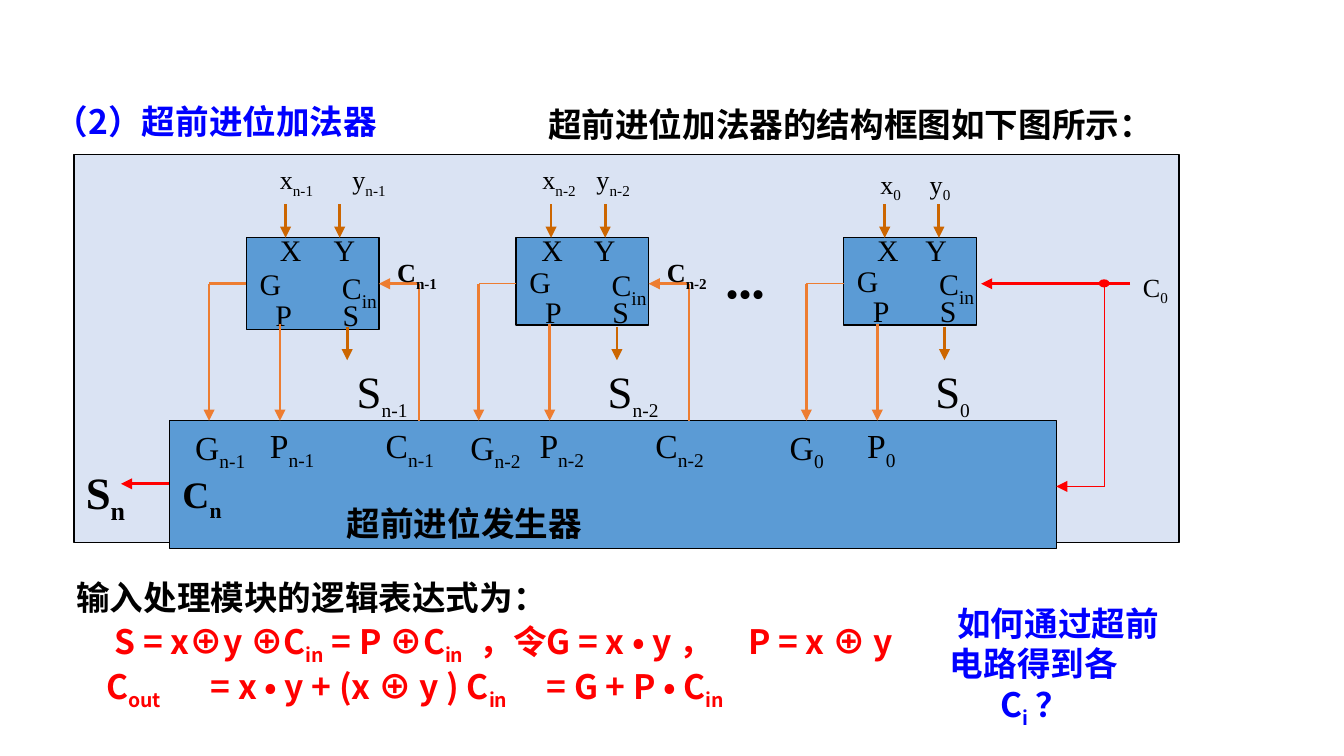
from lxml.etree import SubElement
from pptx import Presentation
from pptx.dml.color import RGBColor
from pptx.enum.shapes import MSO_CONNECTOR as CONN, MSO_SHAPE as SHAPE
from pptx.enum.text import MSO_ANCHOR as ANCHOR, PP_ALIGN as ALIGN
from pptx.oxml.ns import qn
from pptx.util import Pt

COLORS = {"panel": "DAE3F3", "block": "5B9BD5", "black": "000000", "blue": "0000FF",
          "red": "FF0000", "brown": "CC6600", "orange": "ED7D31"}
SERIF, CJK = "Times New Roman", "Noto Sans CJK JP"

# Content: text between bars is subscript
TITLE = "（2）超前进位加法器"
INTRO = "超前进位加法器的结构框图如下图所示："
GENERATOR = "超前进位发生器"
FORMULA_HEAD = "输入处理模块的逻辑表达式为："
FORMULAS = [  # text, first-line indent, tab stops
    ("S\t= x⊕y ⊕C|in| = P ⊕C|in|\t，令G = x • y ，\tP = x ⊕ y", 20.5, (43, 223, 365)),
    ("C|out|\t= x • y + (x ⊕ y ) C|in|\t= G + P • C|in|", 16, (54, 225)),
]
QUESTION = ["如何通过超前", "电路得到各C|i| ？"]

# Adder stages; "x_in" to "s_out" are offsets from the left edge of the block
STAGES = [
    dict(i="n-1", left=132, h=49, dy=1.5, in_top=84.2, x_in=10.8, y_in=49.7, x=10.8, y=39.6,
         arrow=21, s_out=52, g_width=44, g_line=1.5, carry_line=1.5),
    dict(i="n-2", left=276.5, h=46.8, dy=0, in_top=84.2, x_in=7, y_in=36, x=6.5, y=34.6,
         arrow=18.7, s_out=42, g_width=50, g_line=0.75, carry_line=1),
    dict(i="0", left=452, h=46.8, dy=-0.5, in_top=86.4, x_in=12.5, y_in=39, x=10.8, y=36.7,
         arrow=22, s_out=42, g_width=41, g_line=0.75, carry_line=None),
]
STAGE_TOP, STAGE_W, BUS_Y, GEN_TOP = 127.4, 71, 152, 225.4

prs = Presentation()
prs.slide_width, prs.slide_height = Pt(720), Pt(405)
s = prs.slides.add_slide(prs.slide_layouts[6])


def rgb(name):
    return RGBColor.from_string(COLORS[name])


def add_text(text, x=0, y=0, w=52, h=27, tf=None, size=14, sub_size=None, font=SERIF,
             color="black", bold=False, align=ALIGN.LEFT, anchor=ANCHOR.TOP,
             spacing=None, before=0, margin=0, indent=0, tabs=()):
    """Write a paragraph into a new box, or append it to the text frame tf."""
    if tf is None:
        tf = s.shapes.add_textbox(Pt(x), Pt(y), Pt(w), Pt(h)).text_frame
        tf.word_wrap, tf.vertical_anchor = True, anchor
        p = tf.paragraphs[0]
    else:
        p = tf.add_paragraph()
    p.alignment, p.line_spacing, p.space_before = align, spacing, Pt(before)
    pPr = p._p.get_or_add_pPr()
    pPr.set("marL", str(Pt(margin)))
    pPr.set("indent", str(Pt(indent)))
    if tabs:
        stops = SubElement(pPr, qn("a:tabLst"))
        for pos in tabs:
            SubElement(stops, qn("a:tab"), pos=str(Pt(pos)), algn="l")
    for n, part in enumerate(text.split("|")):
        if not part:
            continue
        r = p.add_run()
        r.text = part
        is_sub = n % 2 == 1
        r.font.size = Pt(sub_size if is_sub and sub_size else size)
        r.font.name, r.font.bold = font, bold
        r.font.color.rgb = rgb(color)
        rPr = r._r.get_or_add_rPr()
        SubElement(rPr, qn("a:ea"), typeface=font)
        if is_sub:
            rPr.set("baseline", "-25000")
    return tf


def add_block(x, y, w, h, fill="block", line="black", kind=SHAPE.RECTANGLE):
    sp = s.shapes.add_shape(kind, Pt(x), Pt(y), Pt(w), Pt(h))
    sp.shadow.inherit = False
    sp.fill.solid()
    sp.fill.fore_color.rgb = rgb(fill)
    sp.line.color.rgb = rgb(line)
    sp.line.width = Pt(0.75)


def add_line(x1, y1, x2, y2, color="orange", width=1.5, arrow=True):
    c = s.shapes.add_connector(CONN.STRAIGHT, Pt(x1), Pt(y1), Pt(x2), Pt(y2))
    c.line.color.rgb = rgb(color)
    c.line.width = Pt(width)
    if arrow:
        SubElement(c.line._get_or_add_ln(), qn("a:tailEnd"), type="triangle")
    SubElement(c._element.spPr, qn("a:effectLst"))


# Headings
head = dict(size=18, font=CJK, bold=True)
add_text(TITLE, 22.3, 50.4, 304, 31.7, color="blue", anchor=ANCHOR.MIDDLE, spacing=0.9, **head)
add_text(INTRO, 286.6, 54.7, 416, 26.6, spacing=0.9, **head)

# Panel and carry generator
add_block(39.6, 82.8, 592, 208, fill="panel")
add_block(90.7, GEN_TOP, 475.2, 68.4)
add_text(GENERATOR, 178.6, 265.7, 212, 29, **head)
add_text("C|n|", 90.7, 249, h=31, size=20, bold=True)
add_text("S|n|", 38.9, 245.5, h=36, size=24, bold=True)
add_line(90.7, 259.2, 64.8, 259.2, "red")

# Adder stages
for st in STAGES:
    i, left, dy = st["i"], st["left"], st["dy"]
    right, inner = left + STAGE_W, dict(size=16, w=28)
    add_block(left, STAGE_TOP, STAGE_W, st["h"])
    for name in "xy":
        add_text(f"{name}|{i}|", left + st[name + "_in"], st["in_top"])
        add_text(name.upper(), left + st[name], 120.8, **inner)
    for x in (left + st["arrow"], left + st["arrow"] + 29):
        add_line(x, 109.4, x, STAGE_TOP, "brown")
    add_text("G", left, 137.5 + dy, **inner)
    add_text("C|in|", left + 36, 137.5 + dy, w=41, size=16, sub_size=18, align=ALIGN.RIGHT)
    for name, dx in (("P", 6), ("S", 42)):
        add_text(name, left + dx, 154 + dy, align=ALIGN.CENTER, **inner)

    # Outputs of the stage
    add_line(left + 54, 175, left + 54, 193, "brown")
    add_text(f"S|{i}|", left + st["s_out"], 191.5, h=36, size=24, sub_size=18)
    add_line(left + 18, 173.5, left + 18, GEN_TOP)
    add_line(left, BUS_Y, left - 20, BUS_Y, width=st["g_line"], arrow=False)
    add_line(left - 20, BUS_Y, left - 20, GEN_TOP)

    # Generator terminals and carry back to the stage
    add_text(f"G|{i}|", left - 36, 225, w=st["g_width"], size=18,
             align=ALIGN.LEFT if i == "0" else ALIGN.CENTER)
    add_text(f"P|{i}|", left + 5.5, 224.2, w=47, size=18)
    if st["carry_line"]:
        add_text(f"C|{i}|", left + 67.5, 224.2, w=48, size=18)
        add_line(left + 92.5, GEN_TOP, left + 92.5, BUS_Y, width=st["carry_line"], arrow=False)
        add_line(left + 92.5, BUS_Y, right, BUS_Y)
        add_text(f"C|{i}|", left + 62.3, 134, w=47, bold=True, align=ALIGN.RIGHT)

add_text("•••", 381.6, 141, w=57, h=31, size=20)

# Initial carry
add_line(605.5, BUS_Y, 525.6, BUS_Y, "red")
add_line(591.8, BUS_Y, 591.8, 260.6, "red", 0.75, arrow=False)
add_line(591.8, 260.6, 565.9, 260.6, "red", 0.75)
add_block(589, 150, 5, 3.6, "red", "red", SHAPE.OVAL)
add_text("C|0|", 591.8, 141.8, w=41, align=ALIGN.RIGHT)

# Formulas
note = dict(spacing=0.9, before=2, **head)
tf = add_text(FORMULA_HEAD, 33.8, 308, 598, 80, **note)
for text, indent, tabs in FORMULAS:
    add_text(text, tf=tf, color="red", indent=indent, tabs=tabs, **note)

# Question
tf = add_text(QUESTION[0], 501.8, 322, 130, 60, color="blue", indent=4, **note)
add_text(QUESTION[1], tf=tf, color="blue", margin=27, indent=-27, **note)

prs.save("out.pptx")
